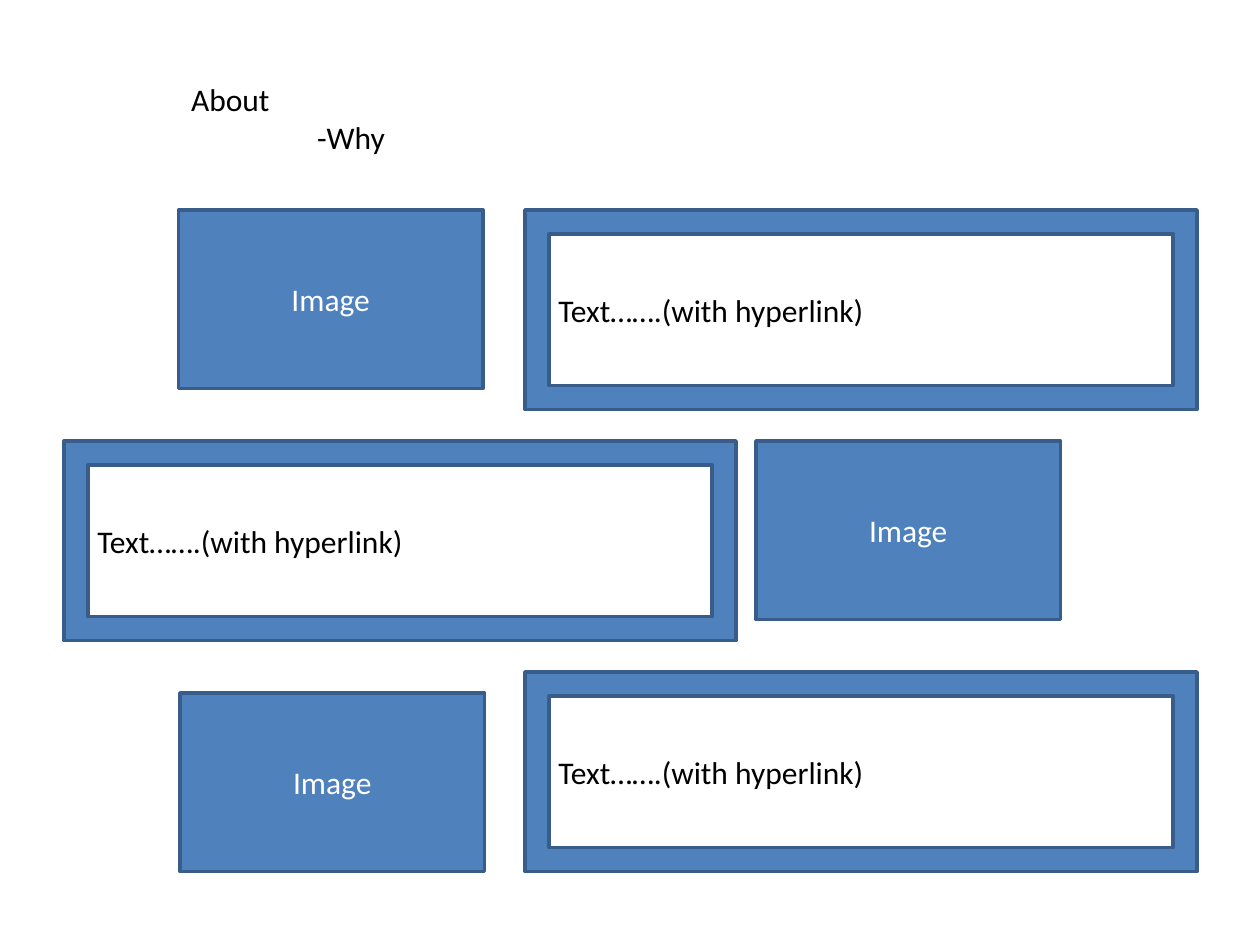
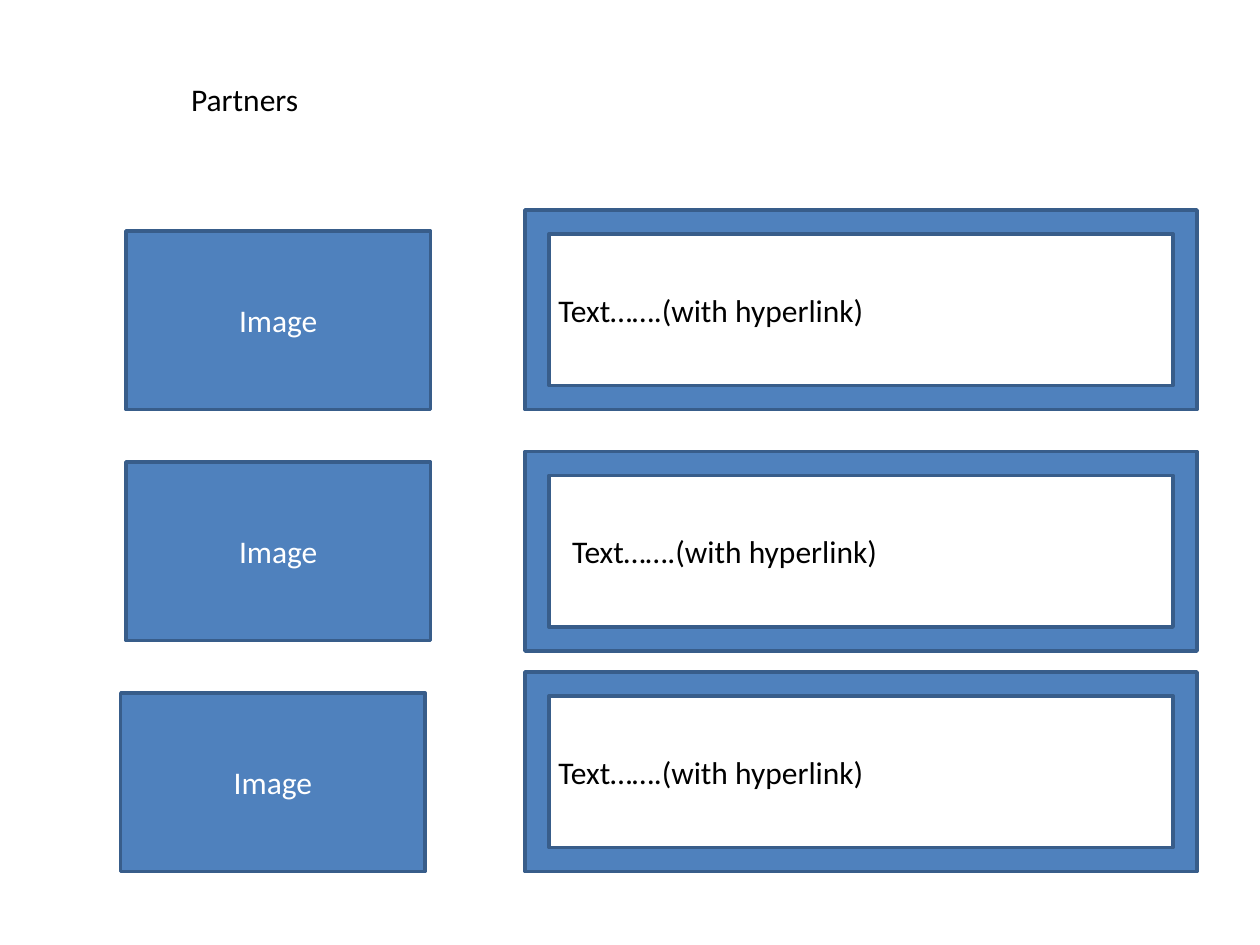
"""Build the About and Partners wireframe slides on a 120 by 90 grid."""
from pptx import Presentation, util as u
from pptx.dml.color import RGBColor
from pptx.enum import shapes, text

COLOURS = {"fill": "4F81BD", "line": "385D8A", "dark": "000000", "light": "FFFFFF"}
COLUMNS = 120
IMAGE_SIZE = 29, 17
FRAME_SIZE = 64, 19
BORDER_SHARE = 0.12
CAPTION_SIZE = 60, 4.8
CAPTION_DROP = 7.1

PAGES = [
    {
        "title": [("About", 0), ("-Why", 12)],
        "rows": [
            {"image": (17, 20), "frame": (50, 20), "inset": 2},
            {"image": (72, 42), "frame": (6.1, 42), "inset": 2},
            {"image": (17.15, 66), "frame": (50, 64), "inset": 2},
        ],
    },
    {
        "title": [("Partners", 0)],
        "rows": [
            {"image": (12, 22), "frame": (50, 20), "inset": 2},
            {"image": (12, 44), "frame": (50, 43), "inset": 3.3},
            {"image": (11.5, 66), "frame": (50, 64), "inset": 2},
        ],
    },
]

deck = Presentation()
deck.slide_width, deck.slide_height = u.Inches(10), u.Inches(7.5)
cell = deck.slide_width // COLUMNS


def grid(*counts):
    return [round(count * cell) for count in counts]


def write(box, lines, colour="dark", align="LEFT", anchor="TOP"):
    frame = box.text_frame
    frame.word_wrap = True
    frame.auto_size = text.MSO_AUTO_SIZE.NONE
    frame.vertical_anchor = getattr(text.MSO_ANCHOR, anchor)
    frame.text = "\n".join(line for line, _ in lines)
    for paragraph, (_, indent) in zip(frame.paragraphs, lines):
        paragraph.alignment = getattr(text.PP_ALIGN, align)
        paragraph._p.get_or_add_pPr().set("marL", str(round(indent * cell)))
        font = paragraph.runs[0].font
        font.name, font.size = "Calibri", u.Pt(18)
        font.color.rgb = RGBColor.from_string(COLOURS[colour])


for page in PAGES:
    slide = deck.slides.add_slide(deck.slide_layouts.get_by_name("Title Only"))
    title = slide.shapes.title
    title.left, title.top, title.width, title.height = grid(17, 7, 21, 8.4)
    write(title, page["title"])

    for row in page["rows"]:
        image = slide.shapes.add_shape(
            shapes.MSO_SHAPE.RECTANGLE, *grid(*row["image"], *IMAGE_SIZE))
        border = slide.shapes.add_shape(
            shapes.MSO_SHAPE.FRAME, *grid(*row["frame"], *FRAME_SIZE))
        border.adjustments[0] = BORDER_SHARE
        for panel in (image, border):
            panel.shadow.inherit = False
            panel.fill.solid()
            panel.fill.fore_color.rgb = RGBColor.from_string(COLOURS["fill"])
            panel.line.color.rgb = RGBColor.from_string(COLOURS["line"])
            panel.line.width = u.Pt(2)
        write(image, [("Image", 0)], colour="light", align="CENTER", anchor="MIDDLE")

        left, top = row["frame"]
        caption = slide.shapes.add_textbox(
            *grid(left + row["inset"], top + CAPTION_DROP, *CAPTION_SIZE))
        write(caption, [("Text…….(with hyperlink)", 0)])

deck.save("out.pptx")
